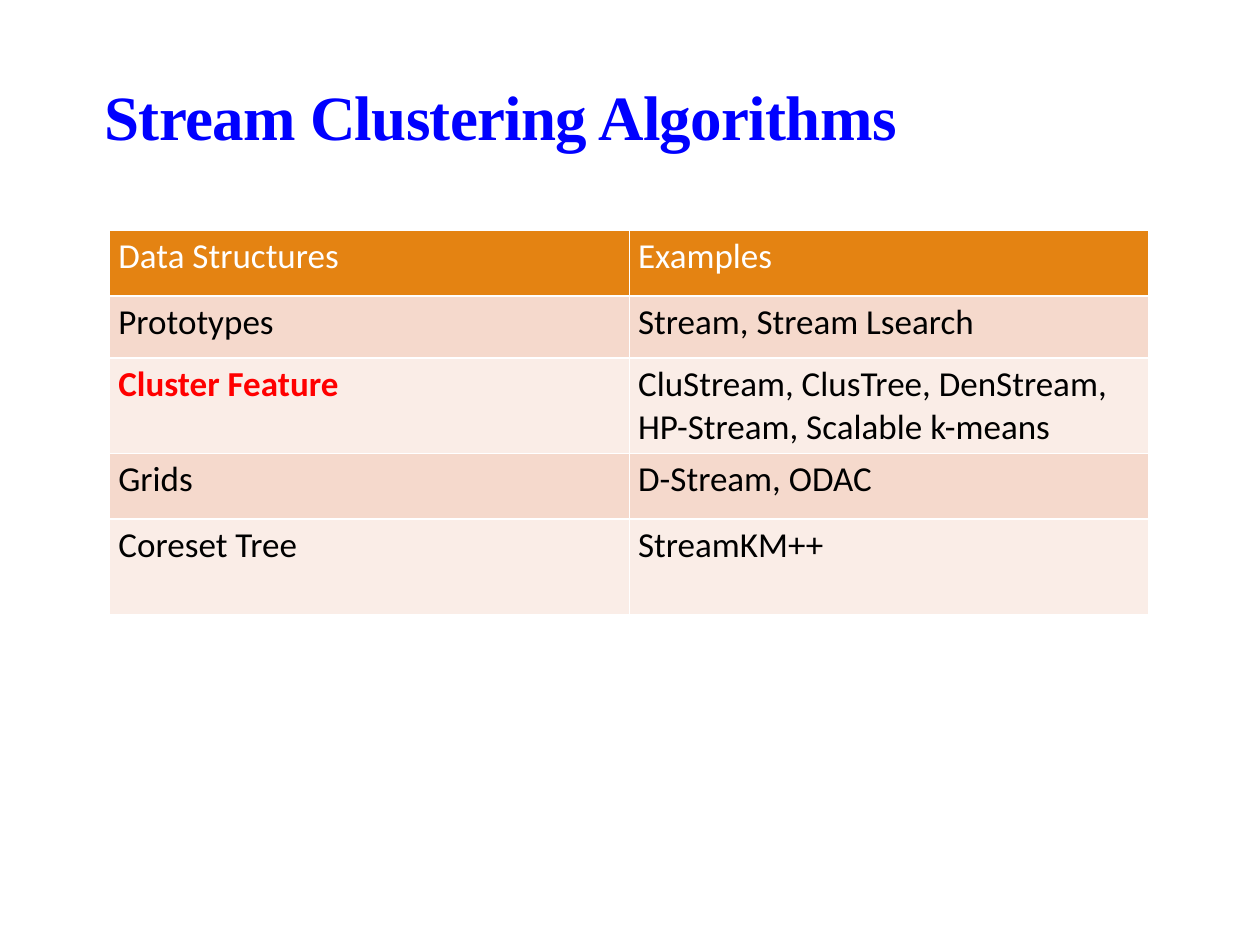
from pptx import Presentation
from pptx.dml.color import RGBColor as RGB
from pptx.enum.text import MSO_ANCHOR as Anchor, MSO_AUTO_SIZE as Fit, PP_ALIGN as Align
from pptx.util import Inches, Pt

BLUE = RGB(0x00, 0x00, 0xFF)
WHITE = RGB(0xFF, 0xFF, 0xFF)
BLACK = RGB(0x00, 0x00, 0x00)
RED = RGB(0xFF, 0x00, 0x00)
ORANGE = RGB(0xE4, 0x83, 0x12)
PEACH = RGB(0xF5, 0xD9, 0xCC)
PALE = RGB(0xFA, 0xED, 0xE7)

ROWS = [
    ("Data Structures", "Examples"),
    ("Prototypes", "Stream, Stream Lsearch"),
    ("Cluster Feature", "CluStream, ClusTree, DenStream, HP-Stream, Scalable k-means"),
    ("Grids", "D-Stream, ODAC"),
    ("Coreset Tree", "StreamKM++"),
]
HEIGHTS = [0.52, 0.49, 0.76, 0.52, 0.76]
KEY = "Cluster Feature"


def style(run, name, size, color, bold):
    font = run.font
    font.name, font.size, font.bold = name, Pt(size), bold
    font.color.rgb = color


def set_title(slide, text):
    title = slide.shapes.title
    title.left, title.top = Inches(0.73), Inches(0.59)
    title.width, title.height = Inches(8.25), Inches(0.68)
    frame = title.text_frame
    frame.text = text
    frame.auto_size = Fit.NONE
    frame.vertical_anchor = Anchor.BOTTOM
    para = frame.paragraphs[0]
    para.alignment = Align.LEFT
    para.line_spacing = 0.85
    run = para.runs[0]
    style(run, "Times New Roman", 36, BLUE, True)
    run.font._element.set("spc", "-40")


def fill_cell(cell, text, fill, color, bold):
    cell.fill.solid()
    cell.fill.fore_color.rgb = fill
    cell.margin_left = cell.margin_right = Inches(0.07)
    cell.margin_top = cell.margin_bottom = Inches(0.04)
    cell.text_frame.text = text
    style(cell.text_frame.paragraphs[0].runs[0], "Calibri", 20, color, bold)


def add_grid(slide):
    """Add the table; its default style draws the white rules."""
    table = slide.shapes.add_table(
        len(ROWS), 2, Inches(0.87), Inches(1.83), Inches(8.25), Inches(sum(HEIGHTS))
    ).table
    for i, (texts, height) in enumerate(zip(ROWS, HEIGHTS)):
        table.rows[i].height = Inches(height)
        fill = ORANGE if i == 0 else PEACH if i % 2 else PALE
        for j, text in enumerate(texts):
            key = text == KEY
            color = WHITE if i == 0 else RED if key else BLACK
            fill_cell(table.cell(i, j), text, fill, color, key)


def main():
    deck = Presentation()
    deck.slide_width, deck.slide_height = Inches(10), Inches(7.5)
    slide = deck.slides.add_slide(deck.slide_layouts[5])
    set_title(slide, "Stream Clustering Algorithms")
    add_grid(slide)
    deck.save("out.pptx")


if __name__ == "__main__":
    main()
